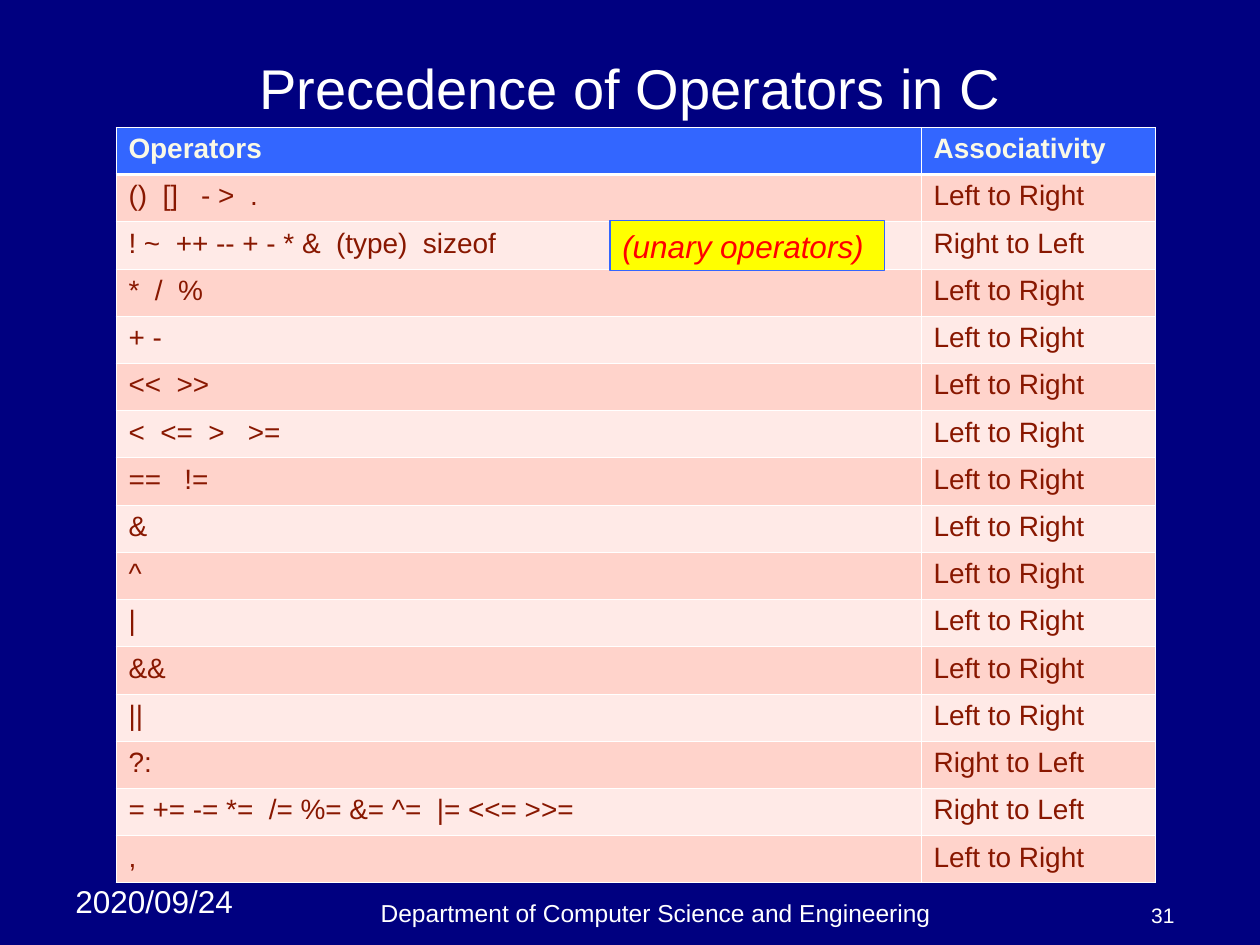
"""Build the slide on the precedence of operators in C."""
from typing import NamedTuple

from lxml import etree
from pptx import Presentation
from pptx import util as u
from pptx.dml.color import RGBColor
from pptx.enum import shapes, text
from pptx.oxml import ns

NAVY = RGBColor(0x00, 0x00, 0x80)
WHITE = RGBColor(0xFF, 0xFF, 0xFF)
CREAM = RGBColor(0xFA, 0xF9, 0xE6)
BLUE = RGBColor(0x33, 0x66, 0xFF)
BROWN = RGBColor(0x88, 0x17, 0x00)
PINK = RGBColor(0xFF, 0xD3, 0xCB)
PALE_PINK = RGBColor(0xFF, 0xEA, 0xE7)
YELLOW = RGBColor(0xFF, 0xFF, 0x00)
RED = RGBColor(0xFF, 0x00, 0x00)

LEFT, CENTER, RIGHT = text.PP_ALIGN.LEFT, text.PP_ALIGN.CENTER, text.PP_ALIGN.RIGHT
TOP, MIDDLE, BOTTOM = text.MSO_ANCHOR.TOP, text.MSO_ANCHOR.MIDDLE, text.MSO_ANCHOR.BOTTOM
LTR, RTL = "Left to Right", "Right to Left"
THIN, THICK = u.Pt(0.45), u.Pt(1.47)
ROW_HEIGHT = u.Inches(0.375)
COLUMN_WIDTHS = (u.Inches(6.39), u.Inches(1.86))


class Level(NamedTuple):
    operators: str
    associativity: str


class Label(NamedTuple):
    content: str
    left: float
    top: float
    width: float
    height: float
    size: int
    align: text.PP_ALIGN = LEFT
    anchor: text.MSO_ANCHOR = TOP
    inset: float = 0.1


HEADER = Level("Operators", "Associativity")
LEVELS = (
    Level("()  []   - >  .", LTR),
    Level("! ~  ++ -- + - * &  (type)  sizeof", RTL),
    Level("*  /  %", LTR),
    Level("+ -", LTR),
    Level("<<  >>", LTR),
    Level("<  <=  >   >=", LTR),
    Level("==   !=", LTR),
    Level("&", LTR),
    Level("^", LTR),
    Level("|", LTR),
    Level("&&", LTR),
    Level("||", LTR),
    Level("?:", RTL),
    Level("= += -= *=  /= %= &= ^=  |= <<= >>=", RTL),
    Level(",", LTR),
)
LABELS = (
    Label("2020/09/24", 0.5, 6.95, 1.58, 0.4, 18),
    Label("Department of Computer Science and Engineering",
          1.83, 7.08, 6.75, 0.33, 14, CENTER, BOTTOM),
    Label("31", 8.75, 7.08, 0.67, 0.33, 12, RIGHT, BOTTOM),
    Label("Precedence of Operators in C", 0.5, 0.39, 9, 0.61, 32, CENTER, MIDDLE, 0),
)


def write(frame, content: str, *, size: int, color: RGBColor, align=LEFT,
          bold: bool = False, italic: bool = False) -> None:
    para = frame.paragraphs[0]
    para.alignment = align
    span = para.add_run()
    span.text = content
    font = span.font
    font.name, font.size, font.color.rgb = "Arial", u.Pt(size), color
    font.bold, font.italic = bold, italic


def add_label(page, label: Label) -> None:
    bounds = (u.Inches(length) for length in label[1:5])
    frame = page.shapes.add_textbox(*bounds).text_frame
    frame.word_wrap = True
    frame.vertical_anchor = label.anchor
    frame.margin_left = frame.margin_right = u.Inches(label.inset)
    frame.margin_top = frame.margin_bottom = u.Inches(label.inset / 2)
    write(frame, label.content, size=label.size, color=WHITE, align=label.align)


def add_borders(cell, top: u.Length, bottom: u.Length) -> None:
    properties = cell._tc.get_or_add_tcPr()
    for side, width in (("L", THIN), ("R", THIN), ("T", top), ("B", bottom)):
        line = etree.SubElement(properties, ns.qn(f"a:ln{side}"), w=str(int(width)))
        fill = etree.SubElement(line, ns.qn("a:solidFill"))
        etree.SubElement(fill, ns.qn("a:srgbClr"), val=str(WHITE))


def add_precedence_table(page) -> None:
    rows = (HEADER, *LEVELS)
    table = page.shapes.add_table(
        len(rows), len(COLUMN_WIDTHS), u.Inches(0.92), u.Inches(1.01),
        sum(COLUMN_WIDTHS), ROW_HEIGHT * len(rows)).table
    for column, width in zip(table.columns, COLUMN_WIDTHS):
        column.width = width
    for index, level in enumerate(rows):
        table.rows[index].height = ROW_HEIGHT
        is_header = index == 0
        band = BLUE if is_header else PINK if index % 2 else PALE_PINK
        for column, content in enumerate(level):
            cell = table.cell(index, column)
            add_borders(cell, THICK if index == 1 else THIN, THICK if is_header else THIN)
            cell.fill.solid()
            cell.fill.fore_color.rgb = band
            write(cell.text_frame, content, size=16, bold=is_header,
                  color=CREAM if is_header else BROWN)


def add_unary_note(page) -> None:
    box = page.shapes.add_shape(shapes.MSO_SHAPE.RECTANGLE, u.Inches(4.84),
                                u.Inches(1.75), u.Inches(2.18), u.Inches(0.4))
    box.shadow.inherit = False
    box.fill.solid()
    box.fill.fore_color.rgb = YELLOW
    box.line.color.rgb = BLUE
    box.line.width = u.Pt(0.75)
    frame = box.text_frame
    frame.word_wrap = False
    frame.vertical_anchor = TOP
    write(frame, "(unary operators)", size=18, color=RED, italic=True)


def main() -> None:
    deck = Presentation()
    deck.slide_width, deck.slide_height = u.Inches(10), u.Inches(7.5)
    page = deck.slides.add_slide(deck.slide_layouts[6])
    page.background.fill.solid()
    page.background.fill.fore_color.rgb = NAVY
    for label in LABELS:
        add_label(page, label)
    add_precedence_table(page)
    add_unary_note(page)
    deck.save("out.pptx")


if __name__ == "__main__":
    main()
